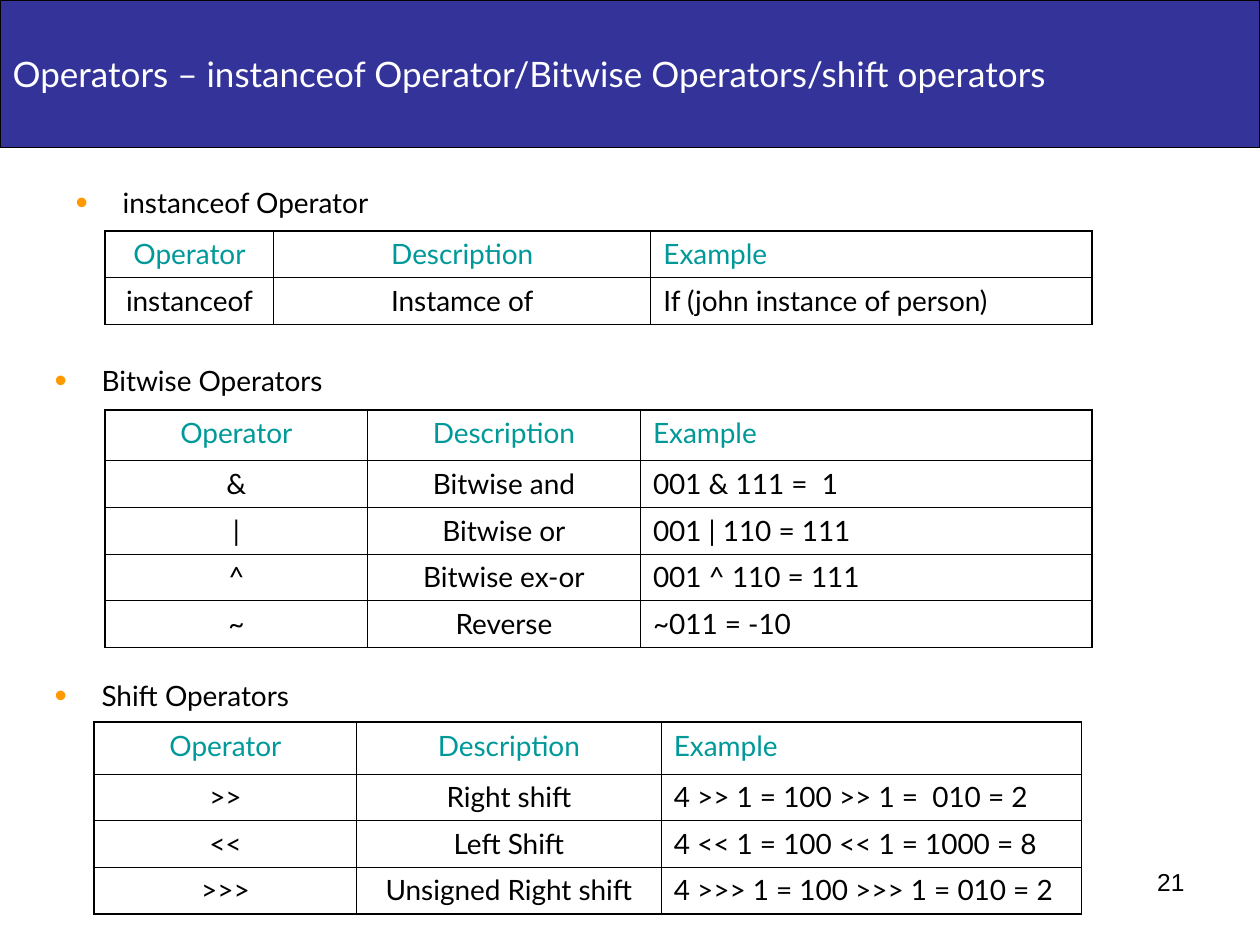
from dataclasses import dataclass

from lxml import etree
from pptx import Presentation
from pptx import util as u
from pptx.dml.color import RGBColor
from pptx.enum import text
from pptx.oxml import ns

LEFT, MID, RIGHT = text.PP_ALIGN.LEFT, text.PP_ALIGN.CENTER, text.PP_ALIGN.RIGHT
TOP, MIDDLE = text.MSO_ANCHOR.TOP, text.MSO_ANCHOR.MIDDLE
HEADS = ("Operator", "Description", "Example")


@dataclass(frozen=True)
class Theme:
    font: str = "Lato"
    plain: str = "Arial"
    ink: str = "000000"
    bar: str = "333399"
    light: str = "FFFFFF"
    head: str = "009999"
    dot: str = "FF9900"
    title: int = 20
    body: int = 16
    small: int = 14
    thick: float = 1.08
    thin: float = 0.45


def rgb(code):
    return RGBColor.from_string(code)


def put(obj, **vals):
    for key, val in vals.items():
        setattr(obj, key, val)


def sub(node, tag, **attrs):
    return etree.SubElement(node, ns.qn(tag), **attrs)


class Page:
    def __init__(self, slide, theme):
        self.slide, self.theme = slide, theme

    def place(self, shape, box):
        put(shape, **dict(zip(("left", "top", "width", "height"), map(u.Cm, box))))

    def say(self, frame, words, color, size, align=LEFT, font=None):
        para = frame.paragraphs[0]
        put(para, alignment=align, space_before=u.Pt(0))
        run = para.add_run()
        run.text = words
        put(run.font, name=font or self.theme.font, size=u.Pt(size), bold=False)
        run.font.color.rgb = rgb(color)
        return para

    def frame(self, shape, anchor=TOP, wrap=True):
        frame = shape.text_frame
        put(frame, auto_size=text.MSO_AUTO_SIZE.NONE, word_wrap=wrap,
            vertical_anchor=anchor)
        return frame

    def title(self, words, box):
        t, shape = self.theme, self.slide.shapes.title
        self.place(shape, box)
        shape.fill.solid()
        shape.fill.fore_color.rgb = rgb(t.bar)
        shape.line.color.rgb = rgb(t.ink)
        shape.line.width = u.Pt(0.75)
        self.say(self.frame(shape, MIDDLE, False), words, t.light, t.title)

    def label(self, words, box, align=LEFT, font=None, size=None, shape=None):
        t = self.theme
        shape = shape or self.slide.shapes.add_textbox(0, 0, 0, 0)
        self.place(shape, box)
        return self.say(self.frame(shape), words, t.ink, size or t.body, align, font)

    def bullet(self, words, box, shape=None):
        props = self.label(words, box, shape=shape)._p.get_or_add_pPr()
        props.set("marL", str(u.Cm(0.95)))
        props.set("indent", str(u.Cm(-0.95)))
        sub(sub(props, "a:buClr"), "a:srgbClr", val=self.theme.dot)
        sub(props, "a:buSzPct", val="125000")
        sub(props, "a:buFont", typeface=self.theme.plain)
        sub(props, "a:buChar", char="•")

    def edge(self, cell, outer):
        """Draw the four cell borders, thick on the sides that are outer."""
        props = cell._tc.get_or_add_tcPr()
        for side, thick in outer.items():
            width = self.theme.thick if thick else self.theme.thin
            line = sub(props, f"a:ln{side}", w=str(u.Pt(width)))
            sub(sub(line, "a:solidFill"), "a:srgbClr", val=self.theme.ink)

    def table(self, left, top, cols, first, rows, step=0.94):
        """Lay out a head row of height first over rows of height step."""
        t, rows = self.theme, [HEADS, *rows]
        last, end = len(rows) - 1, len(cols) - 1
        box = (left, top, sum(cols), first + step * last)
        grid = self.slide.shapes.add_table(
            len(rows), len(cols), *map(u.Cm, box)).table
        put(grid, first_row=False, horz_banding=False)
        for col, width in zip(grid.columns, cols):
            col.width = u.Cm(width)
        for r, row in enumerate(rows):
            grid.rows[r].height = u.Cm(step if r else first)
            for c, words in enumerate(row):
                cell = grid.cell(r, c)
                self.edge(cell, {"L": c == 0, "R": c == end,
                                 "T": r == 0, "B": r == last})
                cell.fill.background()
                self.say(cell.text_frame, words, t.ink if r else t.head,
                         t.body, LEFT if c == end else MID)


def main():
    deck = Presentation()
    put(deck, slide_width=u.Cm(25.4), slide_height=u.Cm(19.05))
    slide = deck.slides.add_slide(deck.slide_layouts[1])
    theme = Theme()
    page = Page(slide, theme)

    page.title("Operators – instanceof Operator/Bitwise Operators/shift operators",
               (0, 0, 25.4, 2.97))

    size = (11.23, 1.07)
    page.bullet("instanceof Operator", (1.27, 3.61, *size),
                shape=slide.placeholders[1])
    page.table(2.12, 4.66, (3.4, 7.6, 8.89), 0.94, [
        ("instanceof", "Instamce of", "If (john instance of person)"),
    ])

    page.bullet("Bitwise Operators", (0.85, 7.2, *size))
    page.table(2.12, 8.26, (5.29, 5.5, 9.1), 1.03, [
        ("&", "Bitwise and", "001 & 111 =  1"),
        ("|", "Bitwise or", "001 | 110 = 111"),
        ("^", "Bitwise ex-or", "001 ^ 110 = 111"),
        ("~", "Reverse", "~011 = -10"),
    ])

    page.bullet("Shift Operators", (0.85, 13.55, *size))
    page.table(1.9, 14.56, (5.29, 6.14, 8.47), 1.04, [
        (">>", "Right shift", "4 >> 1 = 100 >> 1 =  010 = 2"),
        ("<<", "Left Shift", "4 << 1 = 100 << 1 = 1000 = 8"),
        (">>>", "Unsigned Right shift", "4 >>> 1 = 100 >>> 1 = 010 = 2"),
    ])

    page.label("21", (18.2, 17.36, 5.93, 1.31), RIGHT, theme.plain, theme.small)
    deck.save("out.pptx")


if __name__ == "__main__":
    main()
